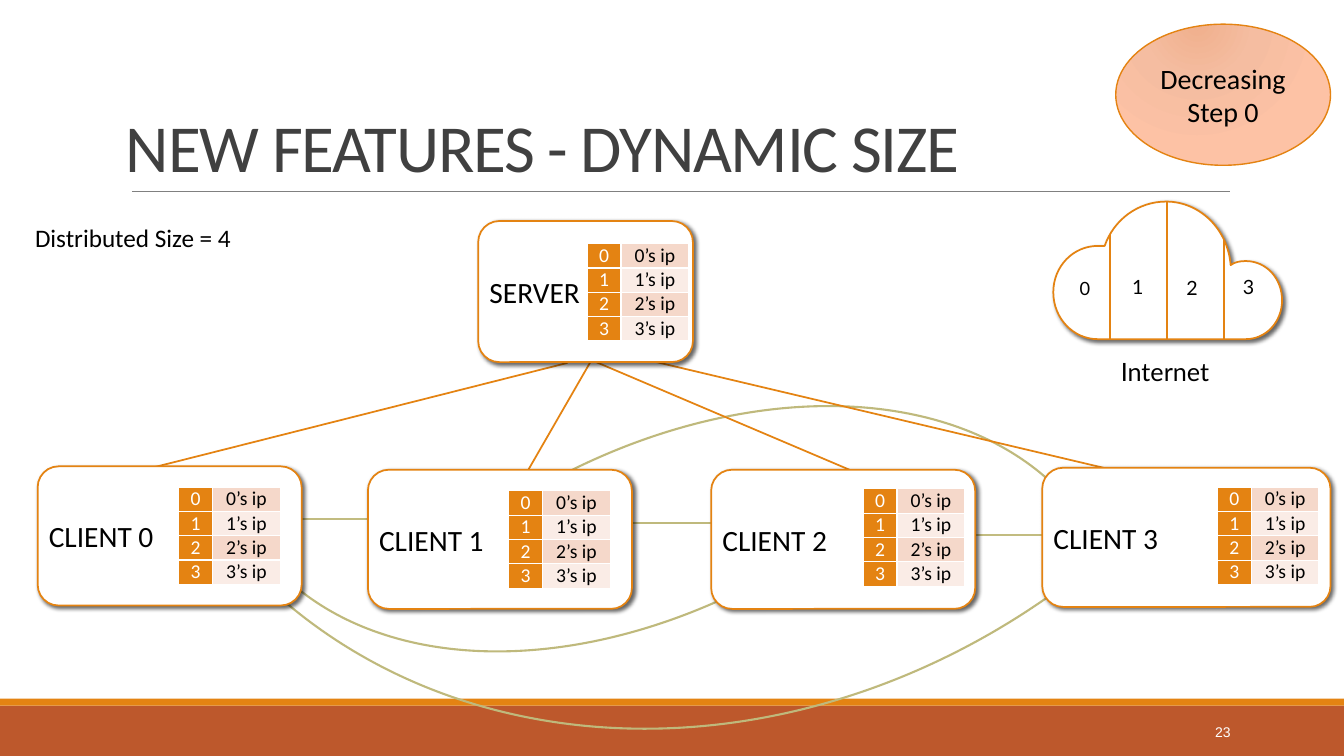
import pptx
import pptx.util
import pptx.oxml
import pptx.oxml.ns
from pptx.dml.color import RGBColor
from pptx.enum.shapes import MSO_CONNECTOR, MSO_SHAPE
from pptx.enum.text import MSO_ANCHOR, MSO_AUTO_SIZE, PP_ALIGN

Pt = pptx.util.Pt
WHITE = RGBColor(0xFF, 0xFF, 0xFF)
BLACK = RGBColor(0x00, 0x00, 0x00)
ORANGE = RGBColor(0xE4, 0x83, 0x12)
RUST = RGBColor(0xBD, 0x58, 0x2C)
GREY = RGBColor(0x80, 0x80, 0x80)
TITLE_GREY = RGBColor(0x40, 0x40, 0x40)
OLIVE = RGBColor(0xBF, 0xB9, 0x7C)
PALE_OLIVE = RGBColor(0xC2, 0xBC, 0x80)
BANDS = (RGBColor(0xF5, 0xD8, 0xCA), RGBColor(0xFA, 0xEC, 0xE6))
STEP_STOPS = ((0, RGBColor(0xF0, 0xB0, 0x8D)), (45, RGBColor(0xF5, 0xBD, 0xA1)),
              (100, RGBColor(0xFD, 0xC2, 0xA5)))
NAMESPACE = pptx.oxml.ns.nsdecls("a")

SHADOW = (f'<a:effectLst {NAMESPACE}><a:outerShdw blurRad="38100" dist="25400" dir="2700000" '
          'algn="tl" rotWithShape="0"><a:srgbClr val="000000"><a:alpha val="60000"/>'
          '</a:srgbClr></a:outerShdw></a:effectLst>')


def write(frame, lines, size, font="Calibri", color=BLACK, align=PP_ALIGN.LEFT):
    frame.margin_left = frame.margin_right = frame.margin_top = frame.margin_bottom = Pt(3.6)
    for index, line in enumerate(lines):
        para = frame.paragraphs[0] if index == 0 else frame.add_paragraph()
        para.alignment = align
        span = para.add_run()
        span.text = line
        span.font.size = Pt(size)
        span.font.name = font
        span.font.color.rgb = color


def add_label(page, box, text, size, font="Calibri", color=BLACK, align=PP_ALIGN.LEFT):
    frame = page.shapes.add_textbox(*map(Pt, box)).text_frame
    frame.word_wrap = False
    frame.auto_size = MSO_AUTO_SIZE.SHAPE_TO_FIT_TEXT
    write(frame, [text], size, font, color, align)
    return frame


def add_line(page, start, end, color=ORANGE, width=1.25):
    line = page.shapes.add_connector(MSO_CONNECTOR.STRAIGHT, *map(Pt, start + end))
    line.line.color.rgb = color
    line.line.width = Pt(width)
    line._element.spPr.append(pptx.oxml.parse_xml(f"<a:effectLst {NAMESPACE}/>"))


def add_arc(page, box, rotation):
    arc = page.shapes.add_shape(MSO_SHAPE.ARC, *map(Pt, box))
    arc.rotation = rotation
    arc.shadow.inherit = False
    arc.fill.background()
    arc.line.color.rgb = OLIVE
    arc.line.width = Pt(1.5)


def outline_with_shadow(shape):
    shape.fill.solid()
    shape.fill.fore_color.rgb = WHITE
    shape.line.color.rgb = ORANGE
    shape.line.width = Pt(1.25)
    shape._element.spPr.append(pptx.oxml.parse_xml(SHADOW))


def add_frame(page, title, number):
    for top, height, color in ((504, 36, RUST), (499, 5, ORANGE)):
        bar = page.shapes.add_shape(MSO_SHAPE.RECTANGLE, 0, Pt(top), Pt(960), Pt(height))
        bar.shadow.inherit = False
        bar.fill.solid()
        bar.fill.fore_color.rgb = color
        bar.line.fill.background()
    add_line(page, (94.3, 136.8), (878.8, 136.8), GREY, 0.5)

    heading = page.shapes.title
    heading.left, heading.top, heading.width, heading.height = map(Pt, (86.4, 22.3, 792, 114.5))
    heading.text_frame.vertical_anchor = MSO_ANCHOR.BOTTOM
    heading.text_frame.auto_size = MSO_AUTO_SIZE.NONE
    write(heading.text_frame, [title], 48, color=TITLE_GREY)
    para = heading.text_frame.paragraphs[0]
    para.line_spacing = 0.85
    para.runs[0].font._element.set("spc", "-90")

    frame = add_label(page, (864, 514, 18.7, 18), number, 10, "Arial", WHITE, PP_ALIGN.RIGHT)
    frame.vertical_anchor = MSO_ANCHOR.MIDDLE


def add_ip_table(page, left, top):
    """Place the table of client numbers and addresses."""
    row_height, widths = 17.4, (24.2, 48.4)
    graphic = page.shapes.add_table(4, 2, Pt(left), Pt(top), Pt(sum(widths)), Pt(4 * row_height))
    table = graphic.table
    table.first_row = table.horz_banding = False
    for column, width in zip(table.columns, widths):
        column.width = Pt(width)
    for number, row in enumerate(table.rows):
        row.height = Pt(row_height)
        looks = ((str(number), WHITE, ORANGE), (f"{number}’s ip", BLACK, BANDS[number % 2]))
        for cell, (text, color, fill) in zip(row.cells, looks):
            write(cell.text_frame, [text], 14, color=color, align=PP_ALIGN.CENTER)
            cell.margin_left = cell.margin_right = cell.margin_top = cell.margin_bottom = 0
            cell.fill.solid()
            cell.fill.fore_color.rgb = fill
            for index, side in enumerate("LRTB"):
                border = (f'<a:ln{side} {NAMESPACE} w="12700"><a:solidFill>'
                          f'<a:srgbClr val="{WHITE}"/></a:solidFill></a:ln{side}>')
                cell._tc.tcPr.insert(index, pptx.oxml.parse_xml(border))


def add_node(page, name, box, table_offset):
    """Draw a server or client with its address table."""
    node = page.shapes.add_shape(MSO_SHAPE.ROUNDED_RECTANGLE, *map(Pt, box))
    node.adjustments[0] = 0.15
    outline_with_shadow(node)
    node.text_frame.vertical_anchor = MSO_ANCHOR.MIDDLE
    write(node.text_frame, [name], 21)
    add_ip_table(page, box[0] + table_offset[0], box[1] + table_offset[1])


def add_step(page, box, lines):
    step = page.shapes.add_shape(MSO_SHAPE.OVAL, *map(Pt, box))
    step.shadow.inherit = False
    step.line.color.rgb = ORANGE
    step.line.width = Pt(1)
    stops = "".join(f'<a:gs pos="{place * 1000}"><a:srgbClr val="{color}"/></a:gs>'
                    for place, color in STEP_STOPS)
    gradient = (f'<a:gradFill {NAMESPACE}><a:gsLst>{stops}</a:gsLst><a:path path="circle">'
                '<a:fillToRect l="38000" t="-20000" r="62000" b="120000"/></a:path></a:gradFill>')
    step._element.spPr.insert(2, pptx.oxml.parse_xml(gradient))
    step.text_frame.vertical_anchor = MSO_ANCHOR.MIDDLE
    write(step.text_frame, lines, 20, align=PP_ALIGN.CENTER)


def bend_segments(shape):
    """Turn each three straight segments of an outline into one cubic curve."""
    segments = shape._element.xpath(".//a:lnTo")
    for index in range(0, len(segments), 3):
        curve = pptx.oxml.parse_xml(f"<a:cubicBezTo {NAMESPACE}/>")
        segments[index].addprevious(curve)
        for segment in segments[index:index + 3]:
            curve.append(segment[0])
            segment.getparent().remove(segment)


def add_cloud(page, left, top):
    """Draw the cloud, split into one numbered slice per client."""
    start = (80.6, 0)
    curves = [
        ((60.5, 0), (43.2, 13), (36.7, 31.7)),
        ((35.3, 31.7), (33.1, 31.7), (31.7, 31.7)),
        ((14.4, 31.7), (0, 46.1), (0, 64.8)),
        ((0, 83.5), (14.4, 98.3), (31.7, 98.3)),
        ((66, 98.3), (103, 98.3), (137.5, 98.3)),
        ((151.9, 98.3), (163.4, 86), (163.4, 70.6)),
        ((163.4, 54.7), (151.9, 42.5), (137.5, 42.5)),
        ((133.2, 42.5), (129.6, 43.2), (126.7, 45.4)),
        ((124.6, 19.4), (104.4, 0), start),
    ]
    builder = page.shapes.build_freeform(*map(Pt, start))
    builder.add_line_segments([tuple(map(Pt, point)) for curve in curves for point in curve])
    cloud = builder.convert_to_shape(Pt(left), Pt(top))
    bend_segments(cloud)
    outline_with_shadow(cloud)

    for x, y in ((40.3, 23.8), (81.4, 0), (121.7, 27.4)):
        add_line(page, (left + x, top + 98.3), (left + x, top + y))
    for number, (x, y, size) in enumerate(((15.1, 50.2, 13), (52.6, 49, 14),
                                           (91.4, 49.5, 14), (131.8, 49, 14))):
        add_label(page, (left + x, top + y, 15.8, 24.5), str(number), size, "Lato")
    add_label(page, (left + 44.6, top + 107.3, 74.2, 29.5), "Internet", 18, "Lato")


def add_network(page):
    """Draw the links first, then the server and clients over their ends."""
    add_arc(page, (48.2, -332.6, 951.1, 824.4), 138.7)
    add_arc(page, (157.3, 321.8, 670.3, 461.5), 329)
    add_arc(page, (122.4, -33.8, 670.3, 461.5), 145.7)
    for left, right, y, color in ((330.5, 604, 373.7, OLIVE), (173.5, 262.8, 370.8, PALE_OLIVE),
                                  (676.8, 766, 381.9, PALE_OLIVE)):
        add_line(page, (left, y), (right, y), color, 1.5)
    for client_end, server_end in (((824.4, 342.7), (437.8, 251.3)), ((370.8, 347), (428.4, 247)),
                                   ((642.2, 350.6), (425.5, 258.5)), ((105.8, 334.8), (405.4, 259.2))):
        add_line(page, client_end, server_end)

    add_node(page, "SERVER", (341.6, 157.9, 153.4, 100.8), (77.8, 16.1))
    clients = ((26.9, 333.1, 188.6, 100.8, 14.8), (262.8, 335.5, 188.6, 100.6, 15.1),
               (508, 335.5, 188.6, 108.6, 13.7), (744.5, 334.1, 205.9, 125.1, 13.9))
    for number, (left, top, width, table_x, table_y) in enumerate(clients):
        add_node(page, f"CLIENT {number}", (left, top, width, 99.4), (table_x, table_y))


def main():
    deck = pptx.Presentation()
    deck.slide_width, deck.slide_height = Pt(960), Pt(540)
    page = deck.slides.add_slide(deck.slide_layouts[5])
    add_frame(page, "NEW FEATURES - DYNAMIC SIZE", "23")
    add_network(page)
    add_label(page, (21.4, 155.2, 164.9, 28.1), "Distributed Size = 4", 18)
    add_step(page, (797, 17.3, 153.4, 100.8), ["Decreasing", "Step 0"])
    add_cloud(page, 752.4, 144)
    deck.save("out.pptx")


if __name__ == "__main__":
    main()
